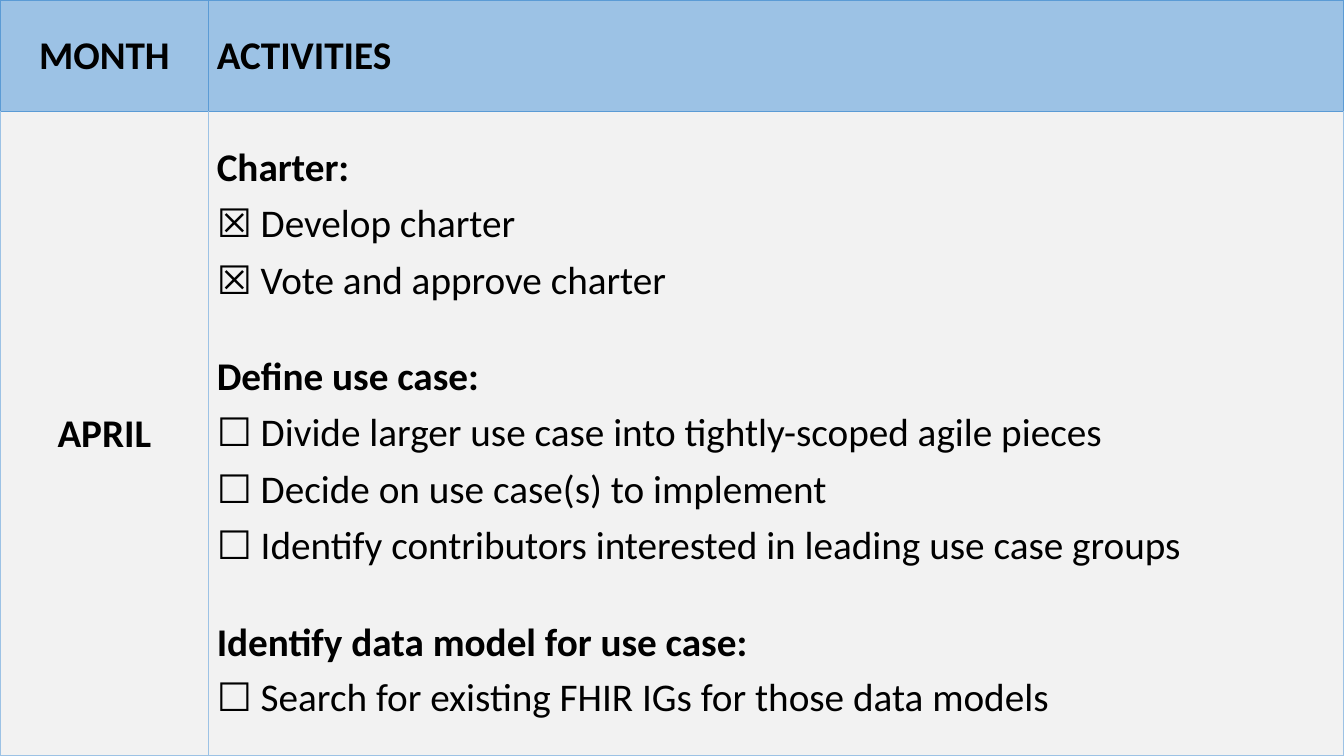
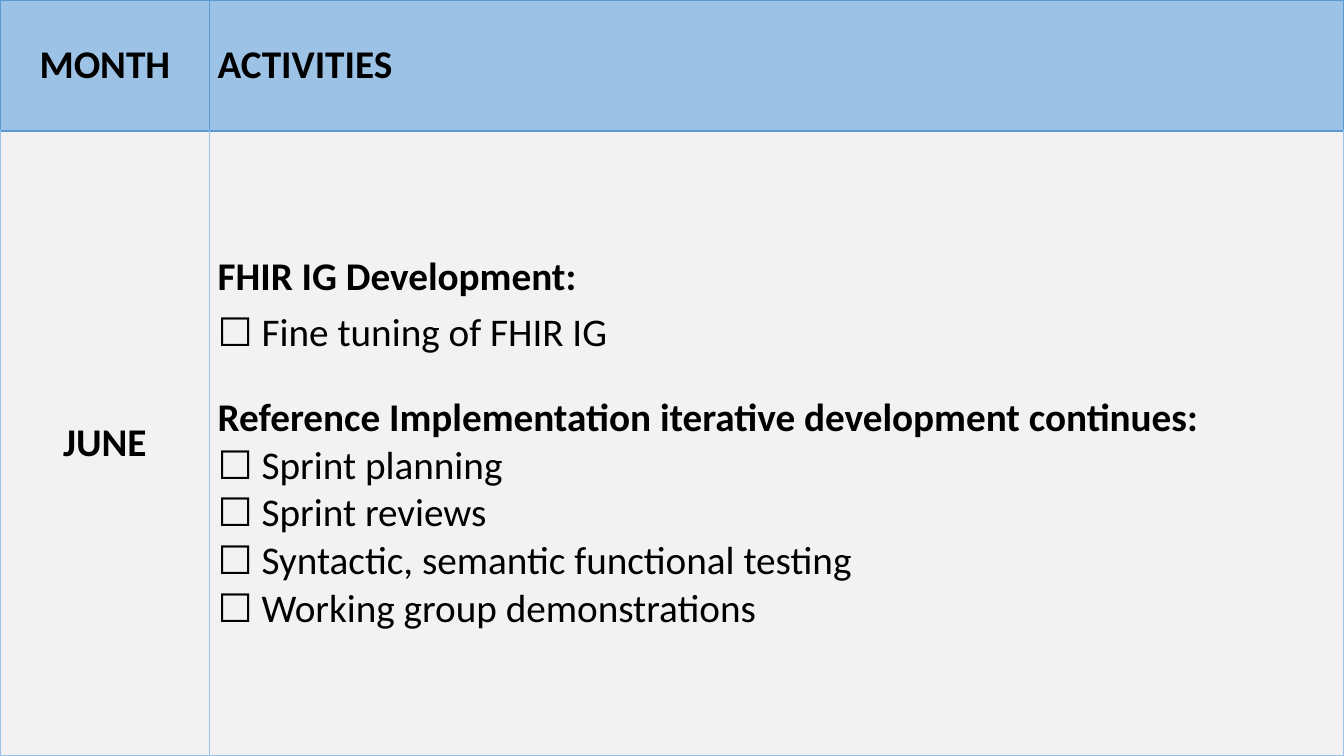
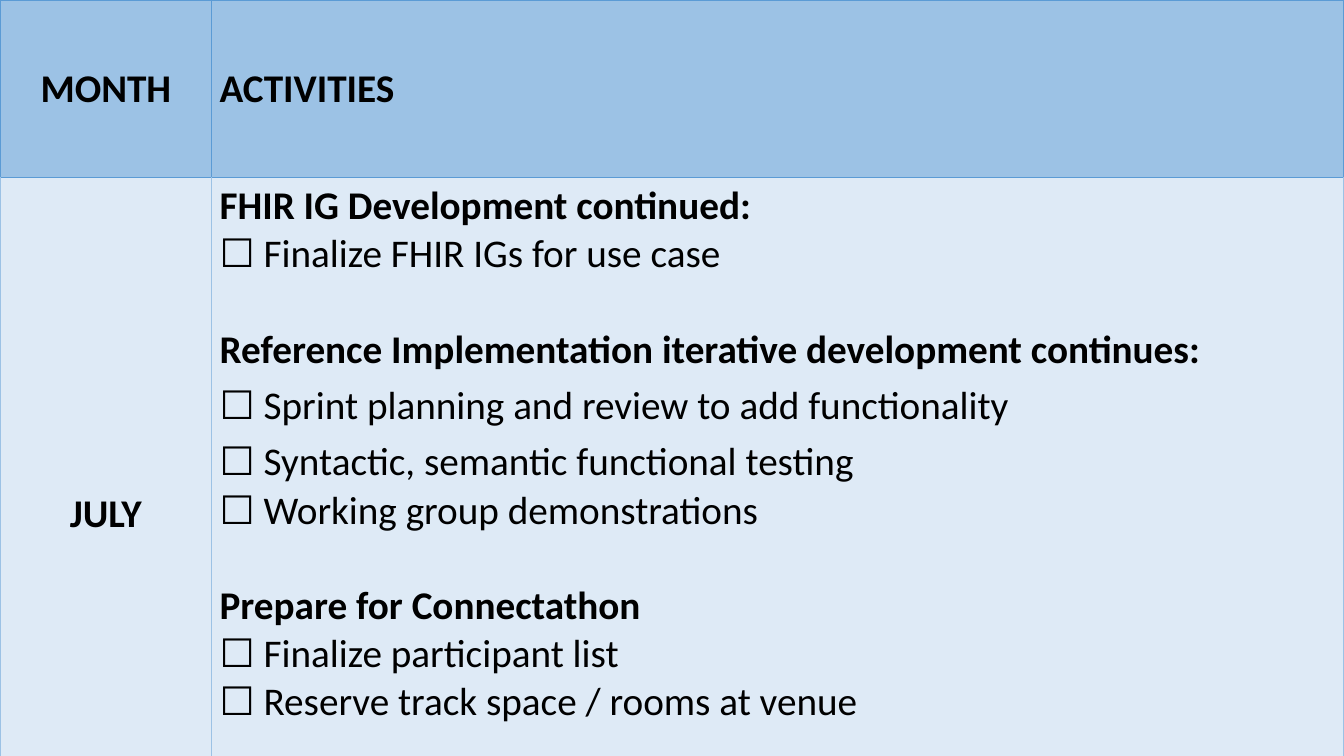
from dataclasses import dataclass

from lxml.etree import SubElement
from pptx import Presentation
from pptx.dml.color import RGBColor
from pptx.enum.text import MSO_ANCHOR, PP_ALIGN
from pptx.oxml.ns import qn
from pptx.util import Emu, Inches, Pt

WIDTH, HEIGHT = Inches(13.33), Inches(7.5)
TEXT_FONT, BOX_FONT = "Calibri", "Noto Sans CJK JP"
INK, HEADER_FILL = "000000", "9CC2E5"
STRONG_RULE, SOFT_RULE = "5B9BD5", "9CC2E5"
GREY, PALE_BLUE = "F2F2F2", "DEEAF6"
OPEN, DONE = "\u2610", "\u2612"
HEADER_RULES = dict.fromkeys("LRTB", STRONG_RULE)
BODY_RULES = dict.fromkeys("LRTB", SOFT_RULE) | {"T": STRONG_RULE}
SIDE_INSETS = {"margin_left": Inches(0.08), "margin_right": Inches(0.08)}
HEADER_FORMAT = SIDE_INSETS | {
    "margin_top": Inches(0.1), "margin_bottom": Inches(0.1),
    "vertical_anchor": MSO_ANCHOR.MIDDLE,
}
BODY_FORMAT = HEADER_FORMAT | {"margin_top": Inches(0.05), "margin_bottom": Inches(0.05)}


@dataclass(frozen=True)
class Task:
    """A checklist entry; a tall one has its box in the wider box font."""
    text: str
    box: str = OPEN
    tall: bool = False
    joint: str = " "


@dataclass(frozen=True)
class Section:
    """A bold heading with its tasks and the space above it in points."""
    heading: str
    tasks: tuple[Task, ...]
    gap: float = 34


@dataclass(frozen=True)
class Month:
    """One slide: proportions are percentages of the slide's size."""
    name: str
    month_column: float
    header_row: float
    body_row: float
    fill: str
    sections: tuple[Section, ...]
    anchor: MSO_ANCHOR = MSO_ANCHOR.MIDDLE


REFERENCE_HEADING = "Reference Implementation iterative development continues:"
TESTING = "Syntactic, semantic functional testing"
DEMOS = Task("Working group demonstrations")

MONTHS = (
    Month("APRIL", 15.53, 14.8, 85.2, GREY, (
        Section("Charter:", (
            Task("Develop charter", DONE, True),
            Task("Vote and approve charter", DONE, True),
        ), 0),
        Section("Define use case:", (
            Task("Divide larger use case into tightly-scoped agile pieces", tall=True),
            Task("Decide on use case(s) to implement", tall=True),
            Task("Identify contributors interested in leading use case groups", tall=True),
        )),
        Section("Identify data model for use case:", (
            Task("Search for existing FHIR IGs for those data models", tall=True),
        )),
    )),
    Month("JUNE", 15.6, 17.33, 82.67, GREY, (
        Section("FHIR IG Development:", (Task("Fine tuning of FHIR IG", tall=True),), 0),
        Section(REFERENCE_HEADING, (
            Task("Sprint planning", joint="\u00a0"),
            Task("Sprint reviews", joint="\u00a0"),
            Task(TESTING),
            DEMOS,
        ), 25.5),
    )),
    Month("JULY", 15.75, 23.47, 89.07, PALE_BLUE, (
        Section("FHIR IG Development continued:", (
            Task("Finalize FHIR IGs for use case", joint="\u00a0"),
        ), 0),
        Section(REFERENCE_HEADING, (
            Task("Sprint planning and review to add functionality", tall=True),
            Task(TESTING, tall=True),
            DEMOS,
        )),
        Section("Prepare for Connectathon", (
            Task("Finalize participant list", joint="\u00a0"),
            Task("Reserve track space / rooms at venue", joint="\u00a0"),
        )),
    ), MSO_ANCHOR.TOP),
)


def color(value: str) -> RGBColor:
    """Turn a hex string into a colour."""
    return RGBColor.from_string(value)


def share(percent: float, whole: int) -> Emu:
    """Return a percentage of a slide dimension."""
    return Emu(round(whole * percent / 100))


def apply(target: object, values: dict) -> None:
    """Set every attribute named in the format values."""
    for name, value in values.items():
        setattr(target, name, value)


def write(paragraph, text: str, bold: bool = False, face: str = TEXT_FONT) -> None:
    """Add a run in the table's text style."""
    run = paragraph.add_run()
    run.text = text
    apply(run.font, {"size": Pt(28), "bold": bold, "name": face})
    run.font.color.rgb = color(INK)
    SubElement(run.font._element, qn("a:ea"), typeface=face)


def style_cell(cell, fill: str, rules: dict[str, str], values: dict) -> None:
    """Give a cell its insets, borders and fill."""
    apply(cell, values)
    properties = cell._tc.get_or_add_tcPr()
    for side, rule in rules.items():
        line = SubElement(properties, qn(f"a:ln{side}"), w=str(Pt(1)))
        paint = SubElement(line, qn("a:solidFill"))
        SubElement(paint, qn("a:srgbClr"), val=rule)
    cell.fill.solid()
    cell.fill.fore_color.rgb = color(fill)


def write_label(cell, text: str, align: PP_ALIGN) -> None:
    """Write a single bold label."""
    paragraph = cell.text_frame.paragraphs[0]
    paragraph.alignment = align
    write(paragraph, text, bold=True)


def write_sections(cell, sections: tuple[Section, ...]) -> None:
    """Write the headings and their checklists."""
    frame = cell.text_frame
    for index, section in enumerate(sections):
        heading = frame.add_paragraph() if index else frame.paragraphs[0]
        heading.space_before = Pt(section.gap)
        write(heading, section.heading, bold=True)
        for task in section.tasks:
            entry = frame.add_paragraph()
            if task.tall:
                write(entry, task.box, face=BOX_FONT)
                write(entry, task.joint + task.text)
            else:
                write(entry, task.box + task.joint + task.text)


def add_month(deck, month: Month) -> None:
    """Add the slide with a month's activity table."""
    slide = deck.slides.add_slide(deck.slide_layouts[6])
    rows = [share(part, HEIGHT) for part in (month.header_row, month.body_row)]
    columns = [share(part, WIDTH) for part in (month.month_column, 100 - month.month_column)]
    schedule = slide.shapes.add_table(2, 2, 0, 0, WIDTH, sum(rows)).table
    apply(schedule, {"first_row": False, "horz_banding": False})
    for row, height in zip(schedule.rows, rows):
        row.height = height
    for column, width in zip(schedule.columns, columns):
        column.width = width
    for index in range(2):
        style_cell(schedule.cell(0, index), HEADER_FILL, HEADER_RULES, HEADER_FORMAT)
        style_cell(schedule.cell(1, index), month.fill, BODY_RULES, BODY_FORMAT)
    write_label(schedule.cell(0, 0), "MONTH", PP_ALIGN.CENTER)
    write_label(schedule.cell(0, 1), "ACTIVITIES", PP_ALIGN.LEFT)
    write_label(schedule.cell(1, 0), month.name, PP_ALIGN.CENTER)
    activities = schedule.cell(1, 1)
    activities.vertical_anchor = month.anchor
    write_sections(activities, month.sections)


def main() -> None:
    """Build and save the deck."""
    deck = Presentation()
    apply(deck, {"slide_width": WIDTH, "slide_height": HEIGHT})
    for month in MONTHS:
        add_month(deck, month)
    deck.save("out.pptx")


main()
